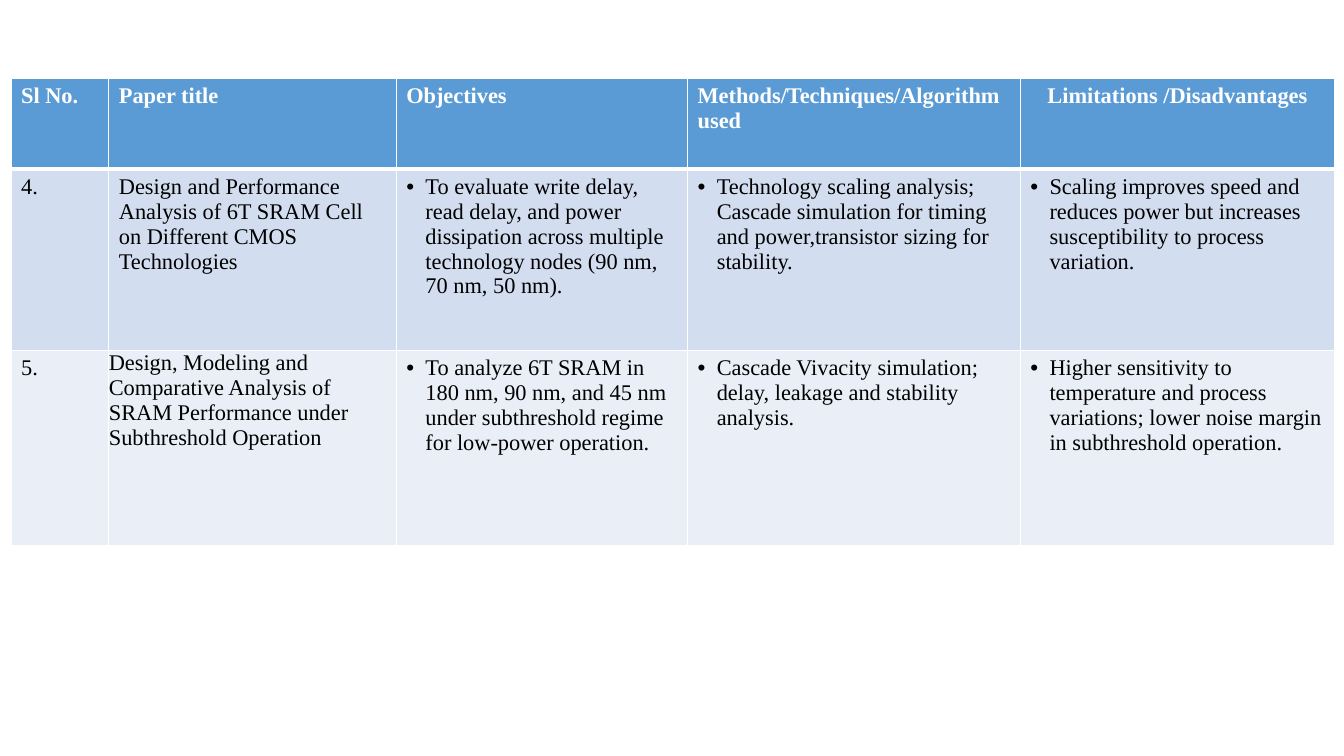
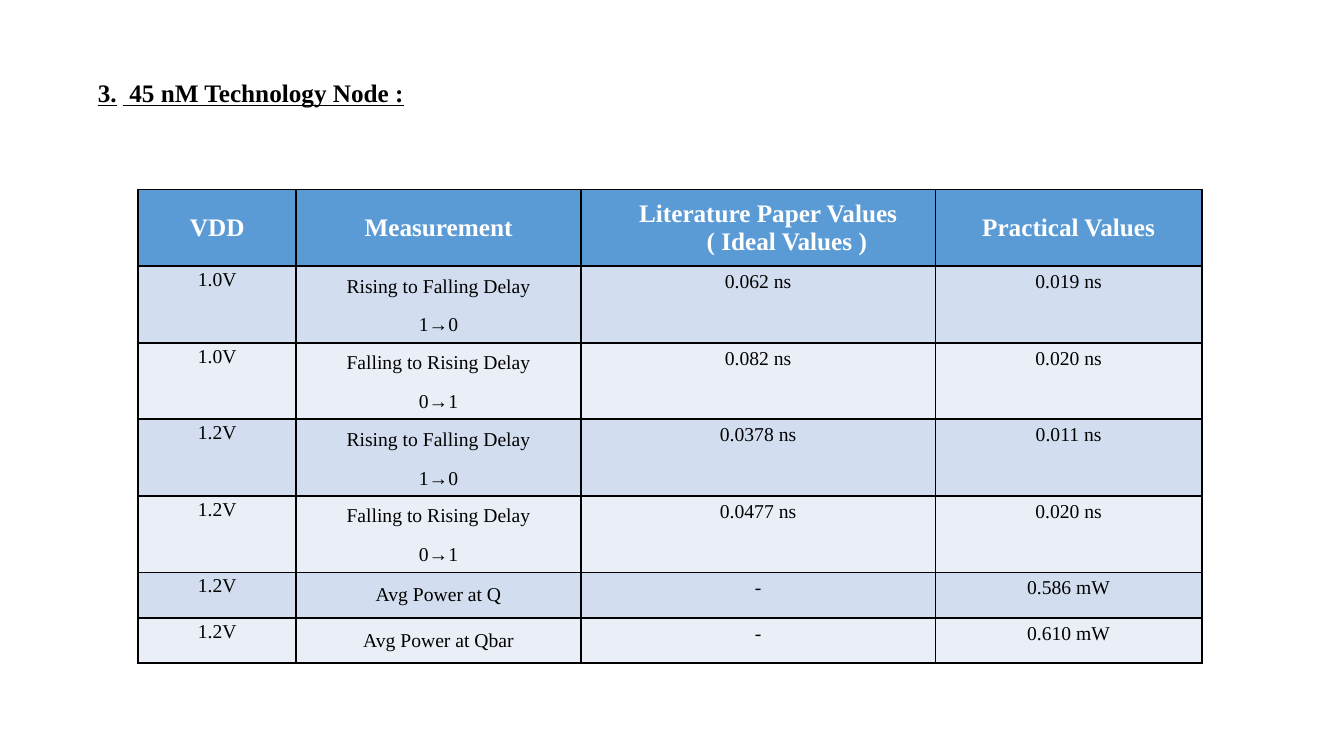
"""Build two slides on SRAM cells: a literature survey and the 45 nM results."""
from dataclasses import dataclass

import lxml.etree
import pptx
import pptx.dml.color
import pptx.enum.text
import pptx.oxml.ns
import pptx.presentation
import pptx.slide
import pptx.table
import pptx.text.text
import pptx.util

Inches = pptx.util.Inches
Align = pptx.enum.text.PP_ALIGN
Anchor = pptx.enum.text.MSO_ANCHOR


@dataclass(frozen=True)
class Theme:
    font: str = "Times New Roman"
    header: str = "5B9BD5"
    bands: tuple[str, str] = ("D2DEEF", "EAEFF7")
    light: str = "FFFFFF"
    dark: str = "000000"
    heading_size: int = 18
    survey_size: int = 16
    result_size: int = 14


@dataclass(frozen=True)
class Line:
    text: str
    align: Align = Align.LEFT
    bullet: bool = False
    indent: float = 0
    spaced: bool = False


@dataclass(frozen=True)
class Entry:
    lines: tuple[Line, ...]
    insets: tuple[float, float, float, float] = (0.1, 0.05, 0.1, 0.05)
    anchor: Anchor = Anchor.TOP


@dataclass(frozen=True)
class Grid:
    left: float
    top: float
    columns: tuple[float, ...]
    rows: tuple[float, ...]
    header_size: int
    body_size: int
    border: str
    border_width: float
    header_rule: float
    entries: list[list[Entry]]


THEME = Theme()


def plain(text: str) -> Entry:
    return Entry((Line(text),))


def bulleted(text: str) -> Entry:
    return Entry((Line(text, bullet=True, indent=0.19),))


def centred(*texts: str, spaced: bool = False, anchor: Anchor = Anchor.TOP) -> Entry:
    return Entry(tuple(Line(text, Align.CENTER, spaced=spaced) for text in texts), anchor=anchor)


def voltage(text: str) -> Entry:
    return Entry((Line(text, Align.CENTER, spaced=True),), insets=(0.07, 0, 0.07, 0))


def add_span(para: pptx.text.text._Paragraph, text: str, size: int, color: str,
             bold: bool = False, underline: bool = False) -> None:
    span = para.add_run()
    span.text = text
    span.font.name = THEME.font
    span.font.size = pptx.util.Pt(size)
    span.font.bold = bold
    span.font.underline = underline
    span.font.color.rgb = pptx.dml.color.RGBColor.from_string(color)


def set_border(cell: pptx.table._Cell, side: str, color: str, width: float) -> None:
    qn = pptx.oxml.ns.qn
    edge = lxml.etree.SubElement(cell._tc.get_or_add_tcPr(), qn(f"a:ln{side}"),
                                 w=str(pptx.util.Pt(width)))
    fill = lxml.etree.SubElement(edge, qn("a:solidFill"))
    lxml.etree.SubElement(fill, qn("a:srgbClr"), val=color)


def fill_cell(cell: pptx.table._Cell, entry: Entry, size: int, color: str, bold: bool) -> None:
    cell.margin_left, cell.margin_top, cell.margin_right, cell.margin_bottom = map(
        Inches, entry.insets)
    cell.vertical_anchor = entry.anchor
    for index, line in enumerate(entry.lines):
        para = cell.text_frame.paragraphs[0] if index == 0 else cell.text_frame.add_paragraph()
        para.alignment = line.align
        if line.spaced:
            para.line_spacing = 1.14
            para.space_after = pptx.util.Pt(10)
        properties = para._p.get_or_add_pPr()
        if line.indent:
            properties.set("marL", str(Inches(line.indent)))
        if line.bullet:
            properties.set("indent", str(-Inches(line.indent)))
            lxml.etree.SubElement(properties, pptx.oxml.ns.qn("a:buFont"), typeface="Arial")
            lxml.etree.SubElement(properties, pptx.oxml.ns.qn("a:buChar"), char="•")
        add_span(para, line.text, size, color, bold)


def add_grid(page: pptx.slide.Slide, grid: Grid) -> None:
    table = page.shapes.add_table(
        len(grid.rows), len(grid.columns), Inches(grid.left), Inches(grid.top),
        Inches(sum(grid.columns)), Inches(sum(grid.rows))).table
    for column, width in zip(table.columns, grid.columns):
        column.width = Inches(width)
    for row, height in zip(table.rows, grid.rows):
        row.height = Inches(height)
    for row_index, row_entries in enumerate(grid.entries):
        header = row_index == 0
        size = grid.header_size if header else grid.body_size
        back = THEME.header if header else THEME.bands[(row_index - 1) % 2]
        for column_index, entry in enumerate(row_entries):
            cell = table.cell(row_index, column_index)
            fill_cell(cell, entry, size, THEME.light if header else THEME.dark, header)
            for side in "LRTB":
                ruled = (row_index, side) in ((0, "B"), (1, "T"))
                set_border(cell, side, grid.border,
                           grid.header_rule if ruled else grid.border_width)
            cell.fill.solid()
            cell.fill.fore_color.rgb = pptx.dml.color.RGBColor.from_string(back)


def add_survey(deck: pptx.presentation.Presentation) -> None:
    page = deck.slides.add_slide(deck.slide_layouts[6])
    entries = [
        [plain("Sl No."), plain("Paper title"), plain("Objectives"),
         plain("Methods/Techniques/Algorithm used"), centred("Limitations /Disadvantages")],
        [plain("4."),
         plain("Design and Performance Analysis of 6T SRAM Cell on Different CMOS Technologies"),
         bulleted("To evaluate write delay, read delay, and power dissipation across multiple "
                  "technology nodes (90 nm, 70 nm, 50 nm)."),
         bulleted("Technology scaling analysis; Cascade simulation for timing and "
                  "power,transistor sizing for stability."),
         bulleted("Scaling improves speed and reduces power but increases susceptibility to "
                  "process variation.")],
        [plain("5."),
         Entry((Line("Design, Modeling and Comparative Analysis of SRAM Performance under "
                     "Subthreshold Operation"),), insets=(0, 0, 0, 0)),
         bulleted("To analyze 6T SRAM in 180 nm, 90 nm, and 45 nm under subthreshold regime "
                  "for low-power operation."),
         bulleted("Cascade Vivacity simulation; delay, leakage and stability analysis."),
         bulleted("Higher sensitivity to temperature and process variations; lower noise "
                  "margin in subthreshold operation.")],
    ]
    add_grid(page, Grid(0.11, 0.78, (0.97, 2.85, 2.89, 3.3, 3.12), (0.9, 1.8, 1.93),
                        THEME.survey_size, THEME.survey_size, THEME.light, 1, 3, entries))


def add_title(page: pptx.slide.Slide) -> None:
    box = page.shapes.title
    box.left, box.top, box.width, box.height = map(Inches, (0.87, 0.72, 4.5, 0.4))
    frame = box.text_frame
    frame.word_wrap = True
    frame.auto_size = pptx.enum.text.MSO_AUTO_SIZE.NONE
    frame.vertical_anchor = Anchor.TOP
    para = frame.paragraphs[0]
    para.alignment = Align.LEFT
    for text, underline in (("3.", True), (" ", False), (" 45 nM Technology Node :", True)):
        add_span(para, text, THEME.heading_size, THEME.dark, True, underline)


def add_results(deck: pptx.presentation.Presentation) -> None:
    page = deck.slides.add_slide(deck.slide_layouts[5])
    add_title(page)
    rising = ("Rising to Falling Delay", "1→0")
    falling = ("Falling to Rising Delay", "0→1")
    measurements = (
        ("1.0V", rising, "0.062 ns", "0.019 ns"),
        ("1.0V", falling, "0.082 ns", "0.020 ns"),
        ("1.2V", rising, "0.0378 ns", "0.011 ns"),
        ("1.2V", falling, "0.0477 ns", "0.020 ns"),
        ("1.2V", ("Avg Power at Q",), "-", "0.586 mW"),
        ("1.2V", ("Avg Power at Qbar",), "-", "0.610 mW"),
    )
    literature = Entry((Line("Literature Paper Values", Align.CENTER, indent=0.2),
                        Line("( Ideal Values )", Align.CENTER, indent=0.57)),
                       anchor=Anchor.MIDDLE)
    entries = [[centred("VDD", anchor=Anchor.MIDDLE),
                centred("Measurement", anchor=Anchor.MIDDLE),
                literature,
                centred("Practical Values", anchor=Anchor.MIDDLE)]]
    for supply, names, ideal, practical in measurements:
        entries.append([voltage(supply),
                        centred(*names, spaced=len(names) > 1, anchor=Anchor.MIDDLE),
                        centred(ideal), centred(practical)])
    add_grid(page, Grid(1.37, 1.88, (1.57, 2.82, 3.52, 2.64), (0.76,) * 5 + (0.45,) * 2,
                        THEME.heading_size, THEME.result_size, THEME.dark, 1.5, 1.5, entries))


def main() -> None:
    deck = pptx.Presentation()
    deck.slide_width, deck.slide_height = Inches(13.33), Inches(7.5)
    add_survey(deck)
    add_results(deck)
    deck.save("out.pptx")


if __name__ == "__main__":
    main()
